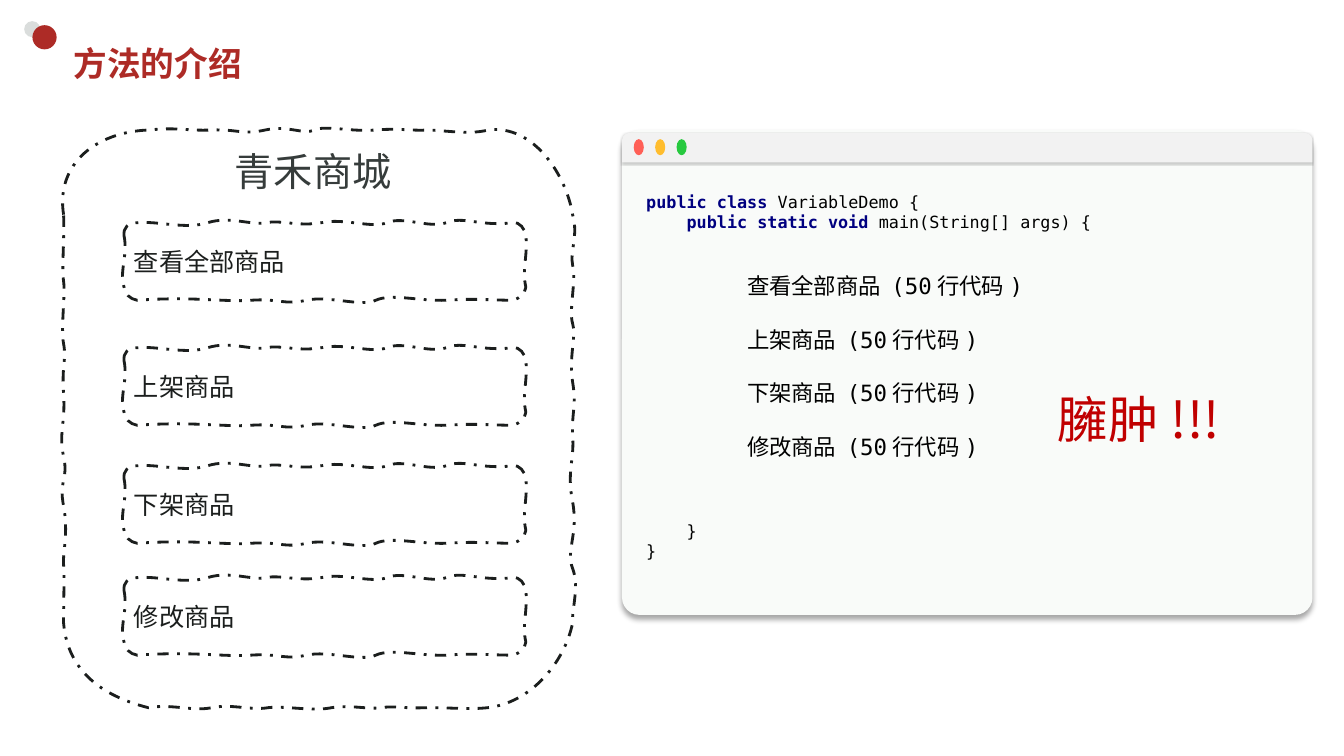
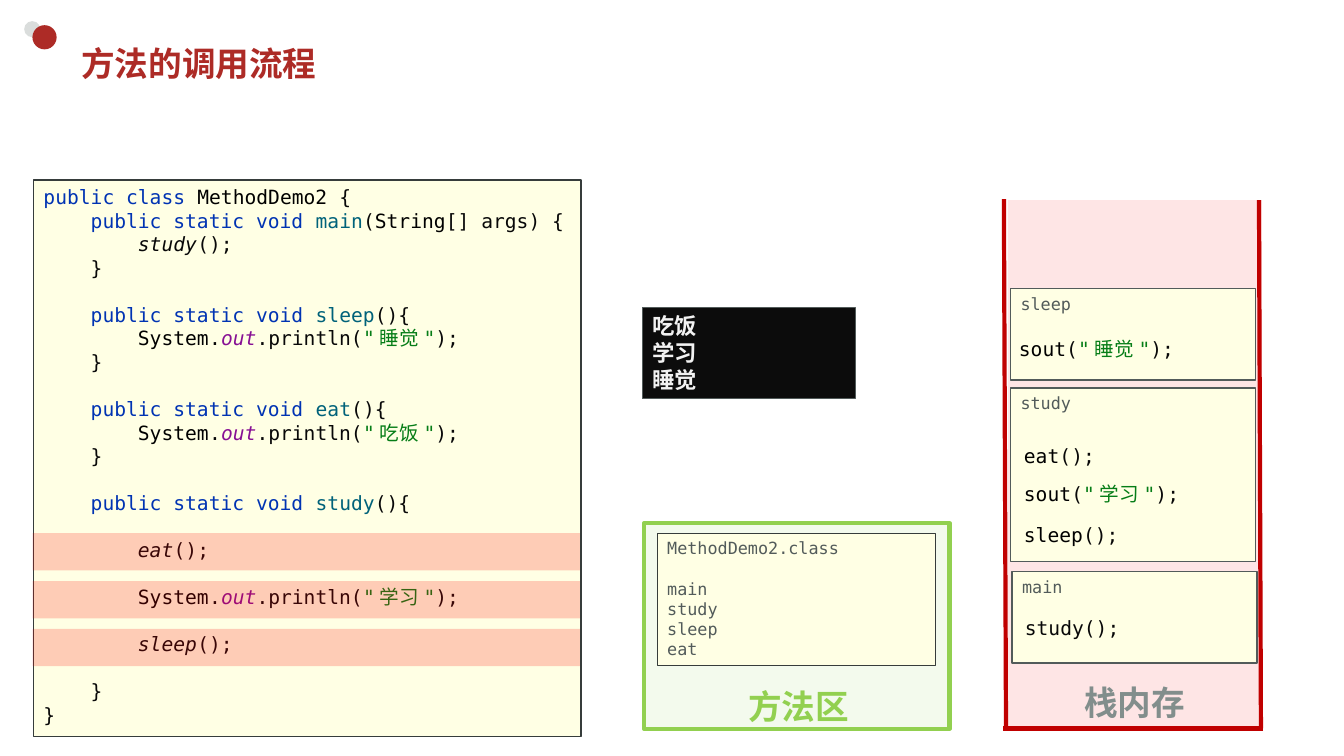
from lxml import etree
from pptx import Presentation
from pptx.dml.color import RGBColor
from pptx.enum.dml import MSO_LINE
from pptx.enum.shapes import MSO_CONNECTOR, MSO_SHAPE as SHAPE
from pptx.enum.text import MSO_ANCHOR as ANCHOR, PP_ALIGN as ALIGN
from pptx.oxml.ns import qn
from pptx.util import Pt

BRICK = RGBColor(0xAD, 0x2B, 0x26)
SILVER = RGBColor(0xDA, 0xDD, 0xDC)
CHARCOAL = RGBColor(0x1B, 0x1E, 0x1D)
SLATE = RGBColor(0x36, 0x3C, 0x3B)
GREY = RGBColor(0x52, 0x5B, 0x5A)
ASH = RGBColor(0x82, 0x8E, 0x8C)
BLACK = RGBColor(0, 0, 0)
CONSOLE = RGBColor(0x0C, 0x0C, 0x0C)
PALE = RGBColor(0xF2, 0xF2, 0xF2)
MINT = RGBColor(0xF9, 0xFB, 0xF9)
CREAM = RGBColor(0xFF, 0xFF, 0xE4)
RED = RGBColor(0xFD, 0, 0)
DARK_RED = RGBColor(0xC0, 0, 0)
GREEN = RGBColor(0x92, 0xD0, 0x50)
DOTS = (RGBColor(0xFF, 0x5F, 0x56), RGBColor(0xFF, 0xBD, 0x2E), RGBColor(0x27, 0xC9, 0x3F))
# Code colours
NAVY = RGBColor(0, 0, 0x80)
KEYWORD = RGBColor(0, 0x33, 0xB3)
METHOD = RGBColor(0, 0x62, 0x7A)
INK = RGBColor(0x08, 0x08, 0x08)
FIELD = RGBColor(0x87, 0x10, 0x94)
STRING = RGBColor(0x06, 0x7D, 0x17)

MONO = "DejaVu Sans Mono"
SANS_JP = "Noto Sans CJK JP"
SANS_SC = "Noto Sans CJK SC"

# Hand-drawn outlines: grid size, start, then Bezier segments (two controls, end)
SMALL_WAVE = ((399, 77), (0, 13), [
    (-1, 5, 4, 0, 13, 0), (34, -2, 61, 7, 83, 0), (105, -7, 127, 3, 141, 0),
    (155, -3, 173, 4, 196, 0), (218, -5, 246, 6, 261, 0), (277, -7, 303, 6, 320, 0),
    (337, -7, 353, 4, 386, 0), (393, -1, 398, 6, 399, 13), (401, 33, 395, 47, 399, 64),
    (398, 71, 393, 75, 386, 77), (366, 77, 347, 75, 320, 77), (293, 78, 265, 70, 250, 77),
    (236, 84, 203, 72, 181, 77), (159, 82, 153, 75, 126, 77), (100, 79, 69, 73, 13, 77),
    (6, 76, 0, 70, 0, 64), (-5, 48, 4, 33, 0, 13)])
LARGE_WAVE = ((505, 573), (0, 84), [
    (-8, 33, 33, 2, 84, 0), (115, -3, 121, 1, 147, 0), (173, -1, 177, 5, 200, 0),
    (223, -5, 238, 5, 249, 0), (260, -5, 285, 2, 309, 0), (332, -2, 347, 1, 361, 0),
    (375, 0, 403, 5, 421, 0), (467, -6, 499, 46, 505, 84), (511, 105, 502, 120, 505, 134),
    (509, 148, 501, 179, 505, 192), (509, 204, 501, 225, 505, 250),
    (509, 274, 504, 280, 505, 303), (507, 327, 499, 338, 505, 369),
    (511, 401, 498, 417, 505, 435), (512, 453, 504, 475, 505, 489),
    (497, 528, 464, 568, 421, 573), (403, 575, 387, 573, 361, 573),
    (336, 574, 329, 571, 315, 573), (302, 575, 285, 570, 266, 573),
    (247, 577, 221, 571, 203, 573), (186, 576, 167, 569, 147, 573),
    (128, 577, 108, 569, 84, 573), (37, 561, 4, 536, 0, 489), (0, 462, 1, 444, 0, 431),
    (-1, 419, 5, 400, 0, 373), (-5, 347, 5, 347, 0, 324), (-5, 300, 2, 291, 0, 262),
    (-2, 233, 3, 228, 0, 212), (-3, 196, 2, 164, 0, 150), (-2, 136, 1, 109, 0, 84)])


# Basic parts
def add_line(tf, runs, size, color, font=MONO, bold=None, gap=0, indent=0, pitch=1.2):
    """Append a paragraph; runs is a string or a list of (text, colour, style)."""
    p = tf.add_paragraph() if tf.text else tf.paragraphs[0]
    p.alignment = ALIGN.LEFT
    p.line_spacing = Pt(round(size * pitch, 1))
    p.space_before = Pt(gap)
    if indent:
        pPr = p._p.get_or_add_pPr()
        pPr.set("marL", str(Pt(indent)))
        pPr.set("indent", "0")
    f = p.font
    f.size, f.name, f.bold = Pt(size), font, bold
    f.color.rgb = color
    etree.SubElement(f._rPr, qn("a:ea"), typeface=SANS_SC if font == MONO else font)
    for text, *look in [(runs,)] if isinstance(runs, str) else runs:
        r = p.add_run()
        r.text = text
        if look:
            r.font.color.rgb = look[0]
        if "b" in look:
            r.font.bold = True
        if "i" in look:
            r.font.italic = True
    return p


def paint(sp, fill=None, line=None, width=1, alpha=None):
    sp.shadow.inherit = False
    if fill is None:
        sp.fill.background()
    else:
        sp.fill.solid()
        sp.fill.fore_color.rgb = fill
    if alpha:
        clr = sp._element.spPr.find(".//" + qn("a:srgbClr"))
        etree.SubElement(clr, qn("a:alpha"), val=str(alpha * 1000))
    if line is None:
        sp.line.fill.background()
    else:
        sp.line.color.rgb = line
        sp.line.width = Pt(width)
    return sp


def add_box(s, box, fill, line=None, width=1, alpha=None, kind=SHAPE.RECTANGLE):
    sp = paint(s.shapes.add_shape(kind, *map(Pt, box)), fill, line, width, alpha)
    sp.text_frame.word_wrap = True
    sp.text_frame.vertical_anchor = ANCHOR.TOP
    return sp


def add_text(s, box, runs, size, color, **style):
    tf = s.shapes.add_textbox(*map(Pt, box)).text_frame
    tf.word_wrap = True
    return add_line(tf, runs, size, color, **style)


def cast_shadow(sp, alpha, blur, dist):
    effects = sp._element.spPr.find(qn("a:effectLst"))
    shadow = etree.SubElement(effects, qn("a:outerShdw"), blurRad=str(Pt(blur)),
                              dist=str(Pt(dist)), dir="5400000", algn="t", rotWithShape="0")
    clr = etree.SubElement(shadow, qn("a:srgbClr"), val="000000")
    etree.SubElement(clr, qn("a:alpha"), val=str(alpha * 1000))


def add_rail(s, *ends):
    cx = s.shapes.add_connector(MSO_CONNECTOR.STRAIGHT, *map(Pt, ends))
    cx.line.color.rgb = DARK_RED
    cx.line.width = Pt(3)
    etree.SubElement(cx._element.spPr, qn("a:effectLst"))


def add_wave(s, box, wave):
    """Dash-dotted hand-drawn outline scaled to the box."""
    (gw, gh), start, curves = wave
    x, y, w, h = box

    def scale(px, py):
        return Pt(px * w / gw), Pt(py * h / gh)

    fb = s.shapes.build_freeform(*scale(*start))
    fb.add_line_segments([scale(*c[4:]) for c in curves], close=True)
    sp = paint(fb.convert_to_shape(Pt(x), Pt(y)), line=CHARCOAL, width=2)
    sp.line.dash_style = MSO_LINE.DASH_DOT
    # Bend each straight segment into its curve
    for ln, c in zip(list(sp._element.iter(qn("a:lnTo"))), curves):
        ln.tag = qn("a:cubicBezTo")
        for i, control in enumerate((c[:2], c[2:4])):
            px, py = scale(*control)
            ln.insert(i, etree.Element(qn("a:pt"), x=str(px), y=str(py)))
    return sp


# Shared slide frame
def add_slide(prs, title, indent=0):
    s = prs.slides.add_slide(prs.slide_layouts[5])
    sp = s.shapes.title
    sp.left, sp.top, sp.width, sp.height = map(Pt, (45.4, 26.6, 845.3, 37.4))
    sp.text_frame.vertical_anchor = ANCHOR.MIDDLE
    add_line(sp.text_frame, title, 24, BRICK, bold=True, indent=indent)
    return s


def add_master_dots(prs, s):
    tree = prs.slide_master.shapes.element
    for box, color in (((17.3, 15.1, 11.5, 11.5), SILVER), ((23.2, 18, 17.3, 17.3), BRICK)):
        tree.append(add_box(s, box, color, kind=SHAPE.OVAL).element)


# Slide 1 regions
def shop_panel(s, x, y, w, h):
    add_wave(s, (x, y, w, h), LARGE_WAVE)
    add_text(s, (x + 115.2, y + 8.6, 133.2, 41), "青禾商城", 28, SLATE, font=SANS_JP)
    rows = {66.2: "查看全部商品", 155.5: "上架商品", 239.8: "下架商品", 319.7: "修改商品"}
    for top, label in rows.items():
        sp = add_wave(s, (x + 43.2, y + top, 287, 55.4), SMALL_WAVE)
        sp.text_frame.word_wrap = True
        sp.text_frame.vertical_anchor = ANCHOR.MIDDLE
        add_line(sp.text_frame, label, 18, CHARCOAL)


def code_window(s, x, y, w, h):
    sp = add_box(s, (x, y, w, h), MINT, kind=SHAPE.ROUNDED_RECTANGLE)
    sp.adjustments[0] = 0.036
    cast_shadow(sp, 34, 4, 3)
    tf = s.shapes.add_textbox(*map(Pt, (x, y + 40.3, 406.8, 273.6))).text_frame
    tf.word_wrap = True
    tf.margin_left = tf.margin_right = Pt(17.3)
    add_line(tf, [("public class ", NAVY, "b"), ("VariableDemo {",)], 12, BLACK)
    add_line(tf, [("    public static void ", NAVY, "b"), ("main(String[] args) {",)], 12, BLACK)
    for i, task in enumerate(("查看全部商品", "上架商品", "下架商品", "修改商品")):
        add_line(tf, f"{task} (50行代码)", 16, BLACK, gap=19 if i else 29, indent=72)
    add_line(tf, "    }", 12, BLACK, gap=43.5)
    add_line(tf, "}", 12, BLACK)
    # Title bar
    bar = add_box(s, (x, y + 2, w, 21), PALE, kind=SHAPE.ROUND_2_SAME_RECTANGLE)
    bar.adjustments[0] = 0.25
    cast_shadow(bar, 20, 1, 1)
    for i, color in enumerate(DOTS):
        add_box(s, (x + 8.4 + 15.3 * i, y + 6.5, 7.2, 11.5), color, kind=SHAPE.OVAL)


# Slide 2 code fragments
def quoted(word):
    return [(f'"{word}"', STRING), (");",)]


def println(word):
    return [("        System", BLACK), (".",), ("out", FIELD, "i"), (".println(",)] + quoted(word)


def signature(name, *rest):
    return [("    public static void ", KEYWORD), (name, METHOD)] + list(rest or [("(){",)])


def call(name):
    return [(f"        {name}", INK, "i"), ("();",)]


def frame_call(name):
    return [(name, BLACK), ("();",)]


# Slide 2 regions
def code_listing(s, x, y, w, h):
    tf = add_box(s, (x, y, w, h), CREAM, SLATE).text_frame
    end = "    }"
    blocks = [
        [[("public class ", KEYWORD), ("MethodDemo2 ", BLACK), ("{",)],
         signature("main", ("(",), ("String", BLACK), ("[] args) {",)), call("study"), end],
        [signature("sleep"), println("睡觉"), end],
        [signature("eat"), println("吃饭"), end],
        [signature("study")], [call("eat")], [println("学习")], [call("sleep")], [end, "}"]]
    for b, block in enumerate(blocks):
        for i, runs in enumerate(block):
            add_line(tf, runs, 14, INK, gap=16.8 if b and not i else 0)


def highlights(s, x, y, w):
    for i in range(3):
        add_box(s, (x, y + 34.2 * i, w, 26.6), RED, alpha=20)


def console(s, *box):
    tf = add_box(s, box, CONSOLE, GREY, 0.75).text_frame
    for word in ("吃饭", "学习", "睡觉"):
        add_line(tf, word, 16, PALE, font=SANS_JP, bold=True)


def area_label(s, box, text, color):
    p = add_text(s, box, text, 24, color, font=SANS_SC, bold=True, pitch=1.8)
    p.alignment = ALIGN.CENTER


def method_area(s, x, y, w, h):
    add_box(s, (x, y, w, h), GREEN, GREEN, 3, alpha=10)
    area_label(s, (x - 0.7, y + 98.6, w + 3.6, 46), "方法区", GREEN)
    tf = add_box(s, (x + 9.4, y + 7.2, 198.7, 94.3), CREAM, SLATE).text_frame
    for i, name in enumerate(("MethodDemo2.class", "main", "study", "sleep", "eat")):
        add_line(tf, name, 12, GREY, gap=14.4 if i == 1 else 0)


def stack_frame(s, x, y, w, h, name, dx, calls):
    tf = add_box(s, (x, y, w, h), CREAM, GREY).text_frame
    add_line(tf, name, 12, GREY)
    for top, runs in calls:
        add_text(s, (x + dx, y + top, 167, 24.5), runs, 14, INK)


def stack_memory(s, x, y, w, h):
    add_box(s, (x, y, w, h), RED, alpha=10)
    area_label(s, (x + 41.5, y + 326, 98, 46), "栈内存", ASH)
    bottom = y + h - 0.7
    add_rail(s, x - 2.9, y - 0.7, x - 1.4, bottom)
    add_rail(s, x + w - 2.1, y, x + w - 0.7, bottom)
    add_rail(s, x + w + 0.8, bottom, x - 3.6, bottom)
    stack_frame(s, x + 3, y + 265.2, 175, 65.5, "main", 2, [(28.1, "study();")])
    stack_frame(s, x + 1.9, y + 134.2, 175, 123.8, "study", 2.4, [
        (36, frame_call("eat")), (63.4, [("sout", BLACK), ("(",)] + quoted("学习")),
        (92.9, frame_call("sleep"))])
    stack_frame(s, x + 1.9, y + 62.9, 175, 65.5, "sleep", -1.2, [
        (31, [("sout", BLACK), ("(",)] + quoted("睡觉"))])


def main():
    prs = Presentation()
    prs.slide_width, prs.slide_height = Pt(960), Pt(540)

    s = add_slide(prs, "方法的介绍")
    add_master_dots(prs, s)
    shop_panel(s, 45.4, 92.9, 363.6, 412.6)
    code_window(s, 444.3, 92.9, 493.2, 346.3)
    add_text(s, (748.6, 273.6, 146.2, 51.1), "臃肿!!!", 36, DARK_RED, font=SANS_JP)

    s = add_slide(prs, "方法的调用流程", indent=5.5)
    code_listing(s, 24, 128.7, 391, 397.4)
    stack_memory(s, 720, 143, 181.4, 378)
    method_area(s, 460.1, 373.7, 218.2, 146.9)
    highlights(s, 23.3, 380.9, 391)
    console(s, 459, 219.4, 151.9, 65.5)

    prs.save("out.pptx")


if __name__ == "__main__":
    main()
